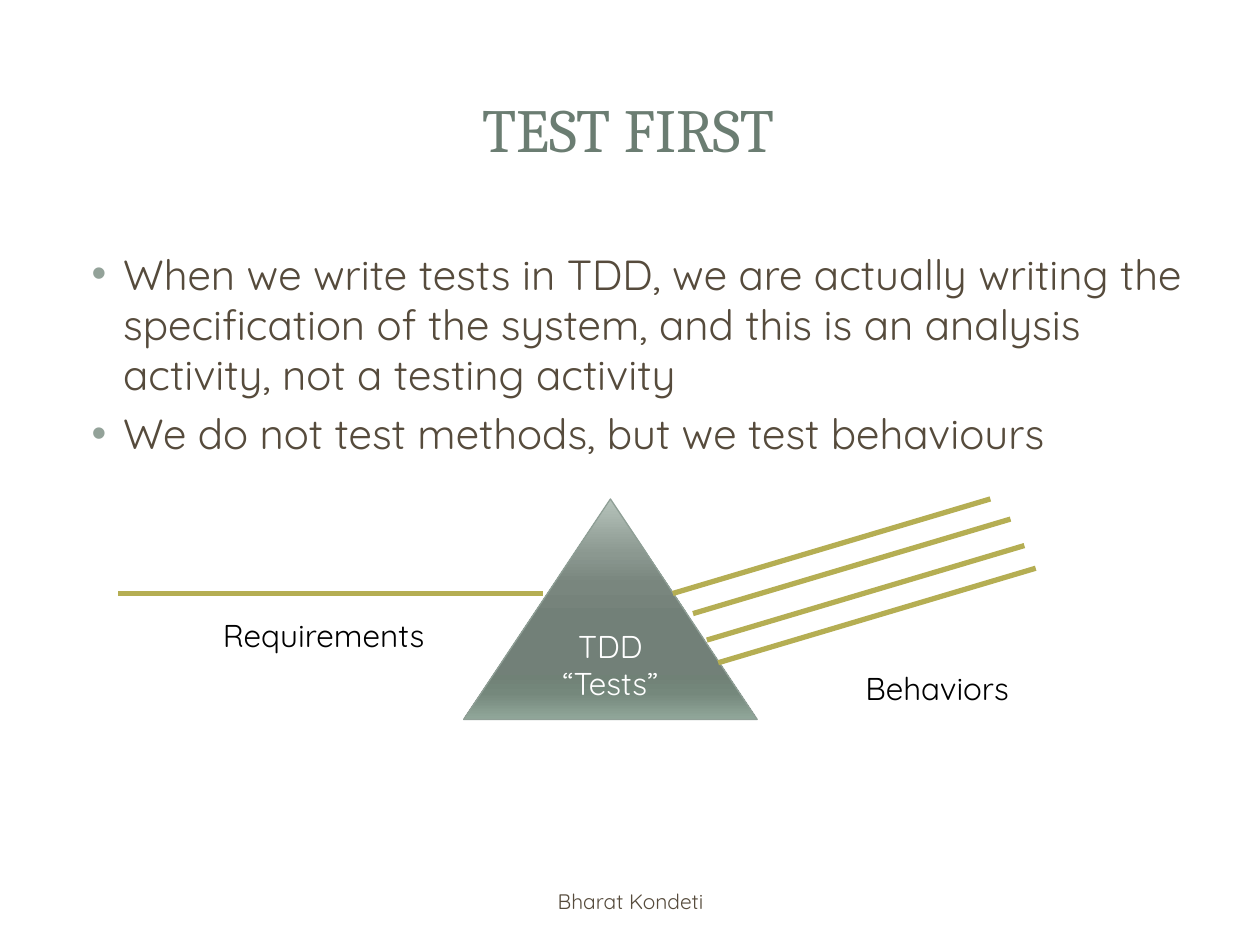
from lxml import etree
from pptx import Presentation
from pptx.dml.color import RGBColor
from pptx.enum.shapes import MSO_CONNECTOR, MSO_SHAPE
from pptx.enum.text import MSO_ANCHOR, PP_ALIGN
from pptx.oxml.ns import qn
from pptx.util import Inches, Pt

LINE, PRISM = MSO_CONNECTOR.STRAIGHT, MSO_SHAPE.ISOSCELES_TRIANGLE
TOP, MIDDLE = MSO_ANCHOR.TOP, MSO_ANCHOR.MIDDLE
LEFT, CENTER = PP_ALIGN.LEFT, PP_ALIGN.CENTER

BLACK = RGBColor(0x00, 0x00, 0x00)
WHITE = RGBColor(0xFF, 0xFF, 0xFF)
GREEN = RGBColor(0x6B, 0x7D, 0x72)
BROWN = RGBColor(0x56, 0x4B, 0x3C)
SAGE = RGBColor(0x93, 0xA2, 0x99)
EDGE = RGBColor(0x8F, 0x9F, 0x96)
GOLD = RGBColor(0xB5, 0xAE, 0x53)
SHADES = [
    (0, RGBColor(0xB6, 0xC3, 0xBB)),
    (25, RGBColor(0x8B, 0x98, 0x90)),
    (38, RGBColor(0x79, 0x86, 0x7E)),
    (55, RGBColor(0x72, 0x80, 0x78)),
    (80, RGBColor(0x70, 0x81, 0x76)),
    (88, RGBColor(0x75, 0x88, 0x7C)),
    (100, RGBColor(0x91, 0xA7, 0x9A)),
]

BULLETS = [
    "When we write tests in TDD, we are actually writing the specification "
    "of the system, and this is an analysis activity, not a testing activity",
    "We do not test methods, but we test behaviours",
]
RAYS = [(5.34, 4.71), (5.5, 4.87), (5.61, 5.08), (5.7, 5.26)]
RUN, RISE = 2.52, 0.75


def write(shape, lines, size=18, color=BLACK, font="Quicksand",
          align=LEFT, anchor=TOP, wrap=True, bullet=False):
    frame = shape.text_frame
    frame.word_wrap = wrap
    frame.vertical_anchor = anchor
    for i, line in enumerate(lines):
        para = frame.add_paragraph() if i else frame.paragraphs[0]
        para.alignment = align
        run = para.add_run()
        run.text = line
        run.font.size = Pt(size)
        run.font.name = font
        run.font.color.rgb = color
        if bullet:
            para.space_before = Pt(size * 0.2)
            mark(para)


def mark(para):
    """Give a paragraph a hanging round bullet."""
    props = para._p.get_or_add_pPr()
    props.set("marL", str(Inches(0.38)))
    props.set("indent", str(Inches(-0.25)))
    tint = etree.SubElement(props, qn("a:buClr"))
    etree.SubElement(tint, qn("a:srgbClr"), val=str(SAGE))
    etree.SubElement(props, qn("a:buFont"), typeface="Arial")
    etree.SubElement(props, qn("a:buChar"), char="•")


def add_text(slide, box, lines, **style):
    write(slide.shapes.add_textbox(*map(Inches, box)), lines, **style)


def add_beam(slide, start, end):
    beam = slide.shapes.add_connector(LINE, *map(Inches, start + end))
    beam.line.color.rgb = GOLD
    beam.line.width = Pt(3)
    etree.SubElement(beam._element.spPr, qn("a:effectLst"))


def add_prism(slide, box, lines):
    prism = slide.shapes.add_shape(PRISM, *map(Inches, box))
    prism.shadow.inherit = False
    prism.line.color.rgb = EDGE
    prism.line.width = Pt(0.75)
    prism.fill.gradient()
    prism.fill.gradient_angle = 270  # counted anticlockwise: top to bottom
    stops = prism._element.spPr.find(qn("a:gradFill")).find(qn("a:gsLst"))
    for stop in list(stops):
        stops.remove(stop)
    for place, color in SHADES:
        stop = etree.SubElement(stops, qn("a:gs"), pos=str(place * 1000))
        etree.SubElement(stop, qn("a:srgbClr"), val=str(color))
    write(prism, lines, color=WHITE, align=CENTER, anchor=MIDDLE)


def main():
    deck = Presentation()
    deck.slide_width, deck.slide_height = Inches(10), Inches(7.5)
    slide = deck.slides.add_slide(deck.slide_layouts[6])

    add_text(slide, (0.47, 0.45, 9.03, 1.14), ["TEST FIRST"], size=35,
             color=GREEN, font="Cambria", align=CENTER, anchor=MIDDLE)
    add_text(slide, (0.5, 1.92, 9, 1.91), BULLETS, size=24, color=BROWN,
             bullet=True)
    add_text(slide, (3.42, 6.95, 3.17, 0.4), ["Bharat Kondeti"], size=12,
             color=BROWN, align=CENTER, anchor=MIDDLE)

    add_prism(slide, (3.68, 3.96, 2.33, 1.75), ["TDD", "“Tests”"])
    add_beam(slide, (0.94, 4.71), (4.31, 4.71))
    for x, y in RAYS:
        add_beam(slide, (x, y), (x + RUN, y - RISE))
    add_text(slide, (1.67, 4.84, 1.87, 0.4), ["Requirements"], wrap=False)
    add_text(slide, (6.77, 5.26, 1.67, 0.4), ["Behaviors"])

    deck.save("out.pptx")


if __name__ == "__main__":
    main()
